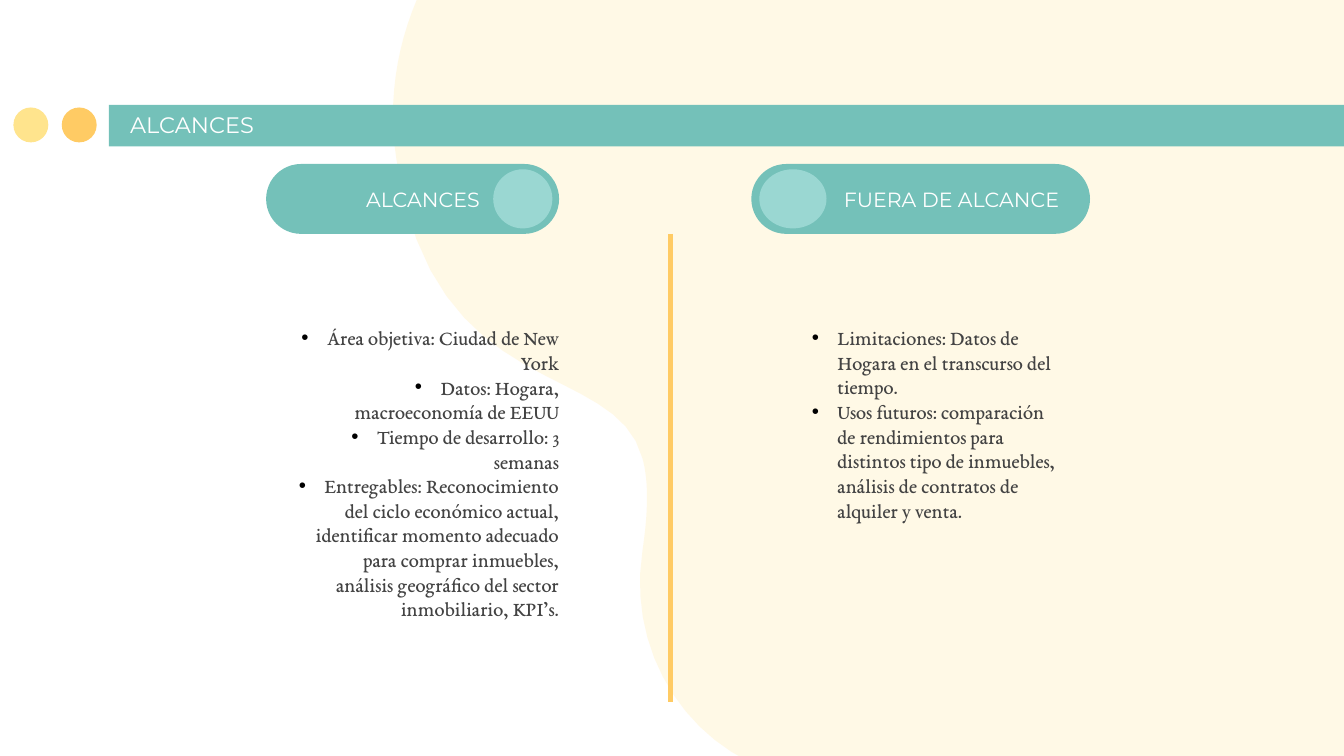
from lxml.etree import SubElement as Sub
from pptx import Presentation
from pptx.dml.color import RGBColor as Rgb
from pptx.enum.shapes import MSO_CONNECTOR as Conn, MSO_SHAPE as Kind
from pptx.enum.text import MSO_ANCHOR as Anchor, PP_ALIGN as Align
from pptx.oxml.ns import qn
from pptx.util import Inches, Pt

HUE = {"teal": "74C1B9", "mint": "9AD7D2", "gold": "FFCB64", "lemon": "FFE48D",
       "white": "FFFFFF", "ink": "434343", "black": "000000"}
HEAD, BODY = "Montserrat", "EB Garamond"

TITLE = ("ALCANCES", (0.87, 0.79, 5.48, 0.34))
DOTS = [("gold", 0.46), ("lemon", 0.1)]
SIDES = [
    {"align": Align.LEFT, "pill": (5.59, 2.52), "disc": (5.65, 0.5),
     "name": "FUERA DE ALCANCE", "label": (6.18, 1.3, 1.93, 0.34),
     "list": (6.04, 2.41, 1.82, 2.27),
     "items": ["Limitaciones: Datos de Hogara en el transcurso del tiempo.",
               "Usos futuros: comparación de rendimientos para distintos tipo de "
               "inmuebles, análisis de contratos de alquiler y venta."]},
    {"align": Align.RIGHT, "pill": (1.98, 2.18), "disc": (3.67, 0.44),
     "name": "ALCANCES", "label": (2.23, 1.3, 1.44, 0.34),
     "list": (2.14, 2.41, 2.02, 2.69),
     "items": ["Área objetiva: Ciudad de New York",
               "Datos: Hogara, macroeconomía de EEUU",
               "Tiempo de desarrollo: 3 semanas",
               "Entregables: Reconocimiento del ciclo económico actual, identificar "
               "momento adecuado para comprar inmuebles, análisis geográfico del "
               "sector inmobiliario, KPI’s."]},
]
START = (3.28, -0.35)
CURVES = [
    ((3.01, 0.09), (2.86, 0.62), (2.95, 1.19)),
    ((3.22, 3.02), (4.58, 2.66), (4.78, 3.41)),
    ((4.83, 3.59), (4.82, 3.83), (4.78, 4.1)),
    ((4.64, 5), (5.31, 5.81), (6.18, 5.81)),
    ((6.2, 5.81), (6.21, 5.81), (6.23, 5.81)),
    ((6.48, 5.8), (6.73, 5.79), (6.96, 5.79)),
    ((7.27, 5.79), (7.55, 5.8), (7.79, 5.82)),
    ((8.63, 5.9), (8.33, 7.25), (9.93, 7.68)),
]
EDGE = [(10.31, 7.68), (10.31, -0.35)]
STEPS = 16

deck = Presentation()
deck.slide_width = Inches(10)
deck.slide_height = deck.slide_width * 9 // 16
shapes = deck.slides.add_slide(deck.slide_layouts[6]).shapes


def paint(shape, hue):
    shape.shadow.inherit = False
    shape.fill.solid()
    shape.fill.fore_color.rgb = Rgb.from_string(HUE[hue])
    shape.line.fill.background()
    return shape


def add(kind, box, hue):
    return paint(shapes.add_shape(kind, *map(Inches, box)), hue)


def bend(a, b, c, d):
    for step in range(1, STEPS + 1):
        t = step / STEPS
        u = 1 - t
        yield tuple(u**3 * p + 3 * u * u * t * q + 3 * u * t * t * r + t**3 * s
                    for p, q, r, s in zip(a, b, c, d))


def write(lines, box, font, size, hue, align=Align.LEFT,
          anchor=Anchor.TOP, pad=(0.1, 0.1, 0.1, 0.1), mark=False):
    frame = shapes.add_textbox(*map(Inches, box)).text_frame
    form = {"word_wrap": True, "vertical_anchor": anchor}
    sides = ("left", "top", "right", "bottom")
    form.update({f"margin_{s}": Inches(v) for s, v in zip(sides, pad)})
    for key, val in form.items():
        setattr(frame, key, val)
    for i, line in enumerate(lines):
        para = frame.add_paragraph() if i else frame.paragraphs[0]
        para.alignment = align
        run = para.add_run()
        run.text = line
        for key, val in {"name": font, "size": Pt(size)}.items():
            setattr(run.font, key, val)
        run.font.color.rgb = Rgb.from_string(HUE[hue])
        if mark:
            props = para._p.get_or_add_pPr()
            props.set("marL", str(Inches(0.19)))
            props.set("indent", str(-Inches(0.19)))
            tint = Sub(props, qn("a:buClr"))
            Sub(tint, qn("a:srgbClr"), val=HUE["black"])
            Sub(props, qn("a:buFont"), typeface="Arial")
            Sub(props, qn("a:buChar"), char="•")


points, last = [], START
for curve in CURVES:
    points += bend(last, *curve)
    last = curve[-1]
pen = shapes.build_freeform(*map(Inches, START), scale=1.0)
pen.add_line_segments([(Inches(x), Inches(y)) for x, y in points + EDGE])
blob = paint(pen.convert_to_shape(), "lemon")
tone = blob._element.spPr.find(qn("a:solidFill"))[0]
Sub(tone, qn("a:alpha"), val="21000")

add(Kind.RECTANGLE, (0.81, 0.78, 9.5, 0.31), "teal")
for hue, left in DOTS:
    add(Kind.OVAL, (left, 0.8, 0.26, 0.26), hue)
write([TITLE[0]], TITLE[1], HEAD, 12, "white", anchor=Anchor.BOTTOM)

for side in SIDES:
    left, wide = side["pill"]
    pill = add(Kind.ROUNDED_RECTANGLE, (left, 1.22, wide, 0.52), "teal")
    pill.adjustments[0] = 0.5
    left, wide = side["disc"]
    add(Kind.OVAL, (left, 1.26, wide, 0.44), "mint")
    write([side["name"]], side["label"], HEAD, 11, "white", side["align"])
    write(side["items"], side["list"], BODY, 11, "ink", side["align"],
          pad=(0, 0.01, 0, 0), mark=True)

rule = shapes.add_connector(Conn.STRAIGHT, *map(Inches, (4.99, 1.74, 4.99, 5.22)))
rule.line.color.rgb = Rgb.from_string(HUE["gold"])
rule.line.width = Pt(3)
Sub(rule._element.spPr, qn("a:effectLst"))

deck.save("out.pptx")
